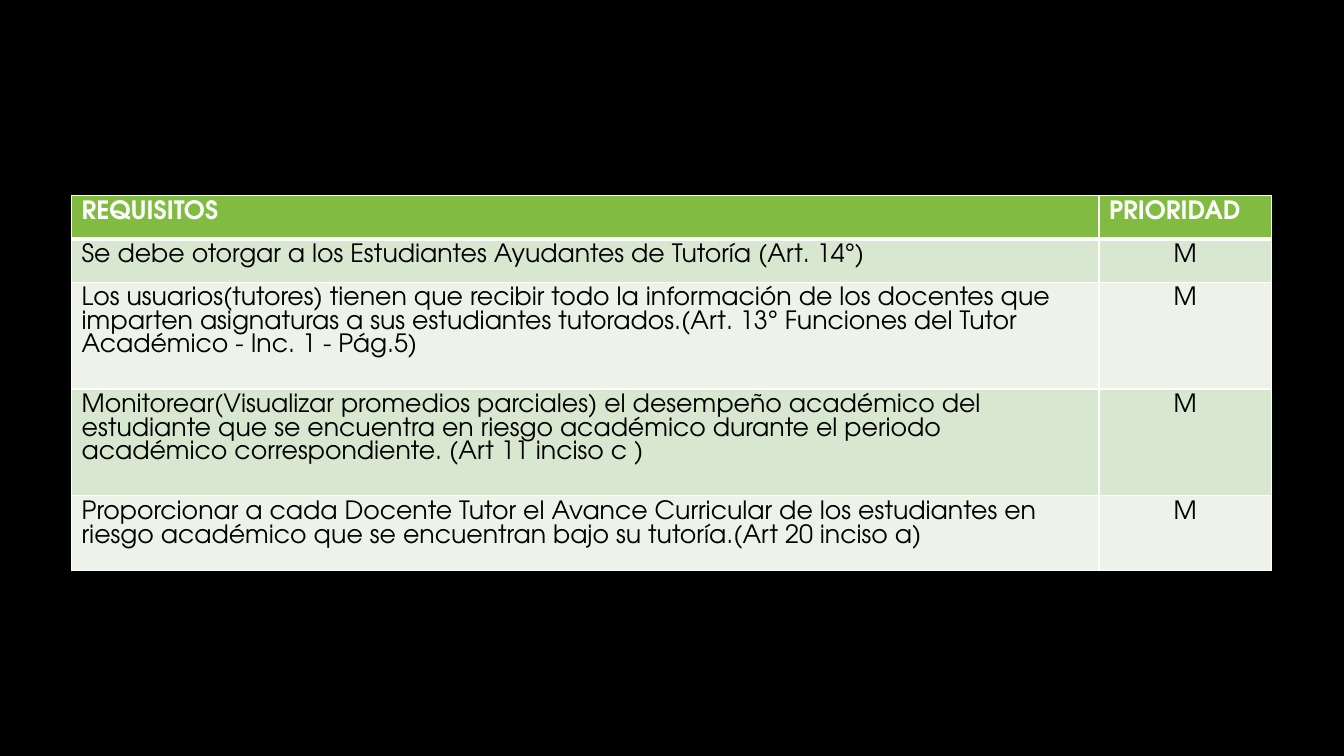
import pptx
import pptx.dml.color
import pptx.enum.text
import pptx.oxml
import pptx.oxml.ns
import pptx.util
from pptx.util import Inches

FONT = "TeX Gyre Adventor"
HEADER_FILL = "81BB42"
BAND_FILLS = ["D8E7CF", "EDF3E9"]
COLUMN_WIDTHS = [10.19, 1.71]
ROW_HEIGHTS = [0.43, 0.43, 1.06, 1.06, 0.74]
HEADINGS = ["REQUISITOS", "PRIORIDAD"]
REQUIREMENTS = [
    "Se debe otorgar a los Estudiantes Ayudantes de Tutoría (Art. 14°)",
    "Los usuarios(tutores) tienen que recibir todo la información de los docentes que "
    "imparten asignaturas a sus estudiantes tutorados.(Art. 13° Funciones del Tutor "
    "Académico - Inc. 1 - Pág.5)",
    "Monitorear(Visualizar promedios parciales) el desempeño académico del "
    "estudiante que se encuentra en riesgo académico durante el periodo "
    "académico correspondiente. (Art 11 inciso c )",
    "Proporcionar a cada Docente Tutor el Avance Curricular de los estudiantes en "
    "riesgo académico que se encuentran bajo su tutoría.(Art 20 inciso a)",
]
PRIORITY = "M"


def set_fill(fill, color):
    fill.solid()
    fill.fore_color.rgb = pptx.dml.color.RGBColor.from_string(color)


def set_borders(cell, widths):
    """Draw white borders; widths maps a side (L, R, T, B) to points."""
    properties = cell._tc.get_or_add_tcPr()
    for position, (side, width) in enumerate(widths.items()):
        border = pptx.oxml.parse_xml(
            f'<a:ln{side} {pptx.oxml.ns.nsdecls("a")} w="{pptx.util.Pt(width)}">'
            f'<a:solidFill><a:srgbClr val="FFFFFF"/></a:solidFill></a:ln{side}>'
        )
        properties.insert(position, border)


def fill_cell(cell, text, background, color, bold, alignment):
    set_fill(cell.fill, background)
    para = cell.text_frame.paragraphs[0]
    para.alignment = alignment
    span = para.add_run()
    span.text = text
    for name, value in {"name": FONT, "size": pptx.util.Pt(18), "bold": bold}.items():
        setattr(span.font, name, value)
    set_fill(span.font.fill, color)


def add_requirements_table(page):
    rows = [HEADINGS] + [[requirement, PRIORITY] for requirement in REQUIREMENTS]
    table = page.shapes.add_table(
        len(rows), len(HEADINGS), Inches(0.71), Inches(1.94),
        Inches(sum(COLUMN_WIDTHS)), Inches(sum(ROW_HEIGHTS)),
    ).table
    for column, width in zip(table.columns, COLUMN_WIDTHS):
        column.width = Inches(width)
    for row, height in zip(table.rows, ROW_HEIGHTS):
        row.height = Inches(height)

    align = pptx.enum.text.PP_ALIGN
    for i, texts in enumerate(rows):
        header = i == 0
        background = HEADER_FILL if header else BAND_FILLS[(i - 1) % 2]
        color = "FFFFFF" if header else "000000"
        for j, text in enumerate(texts):
            cell = table.cell(i, j)
            centred = j == 1 and not header
            fill_cell(cell, text, background, color, header,
                      align.CENTER if centred else align.LEFT)
            set_borders(cell, {"L": 1, "R": 1, "T": 3 if i == 1 else 1,
                               "B": 3 if header else 1})


def main():
    deck = pptx.Presentation()
    deck.slide_width = Inches(13.33)
    deck.slide_height = Inches(7.5)
    page = deck.slides.add_slide(deck.slide_layouts[6])
    set_fill(page.background.fill, "000000")
    add_requirements_table(page)
    deck.save("out.pptx")


if __name__ == "__main__":
    main()
